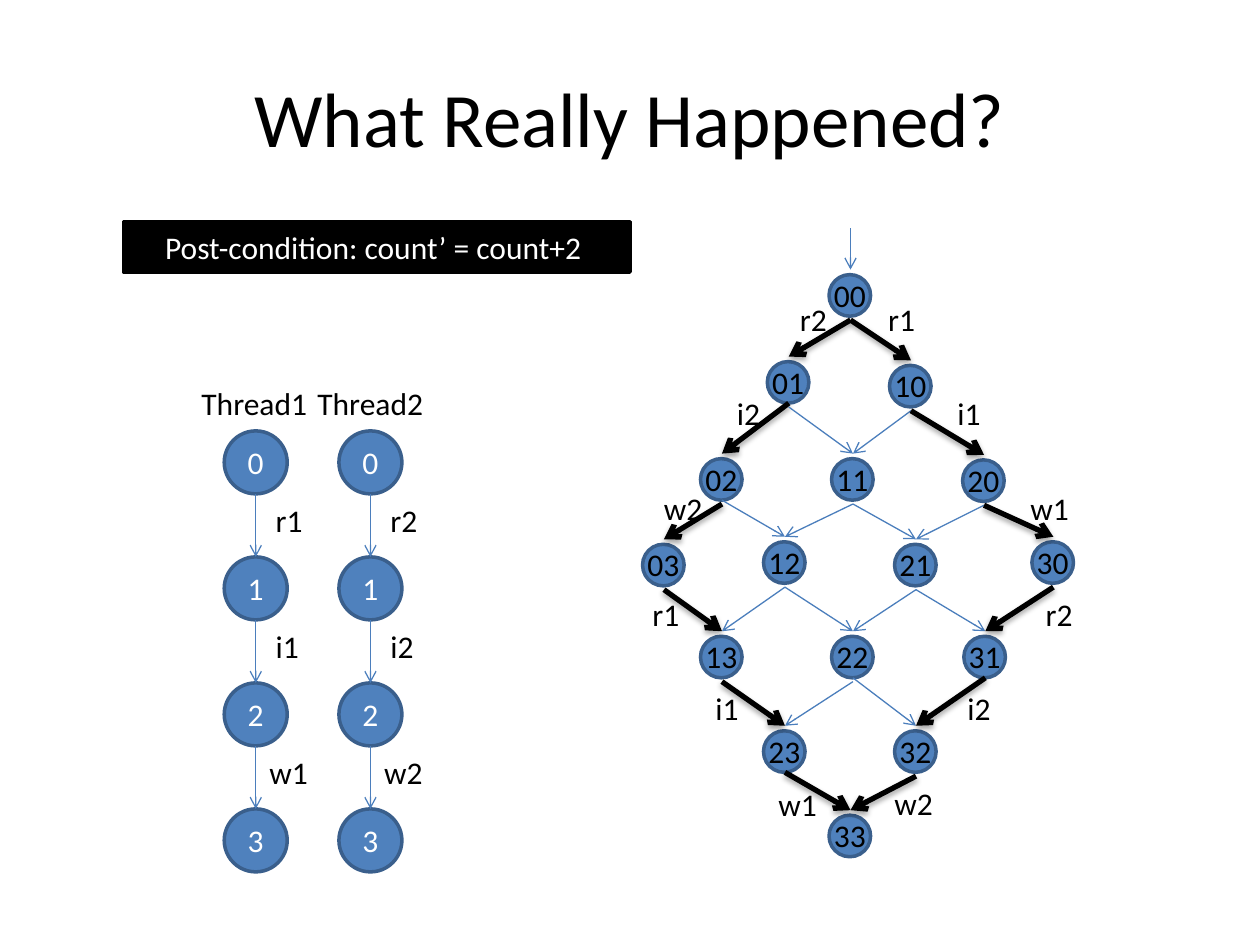
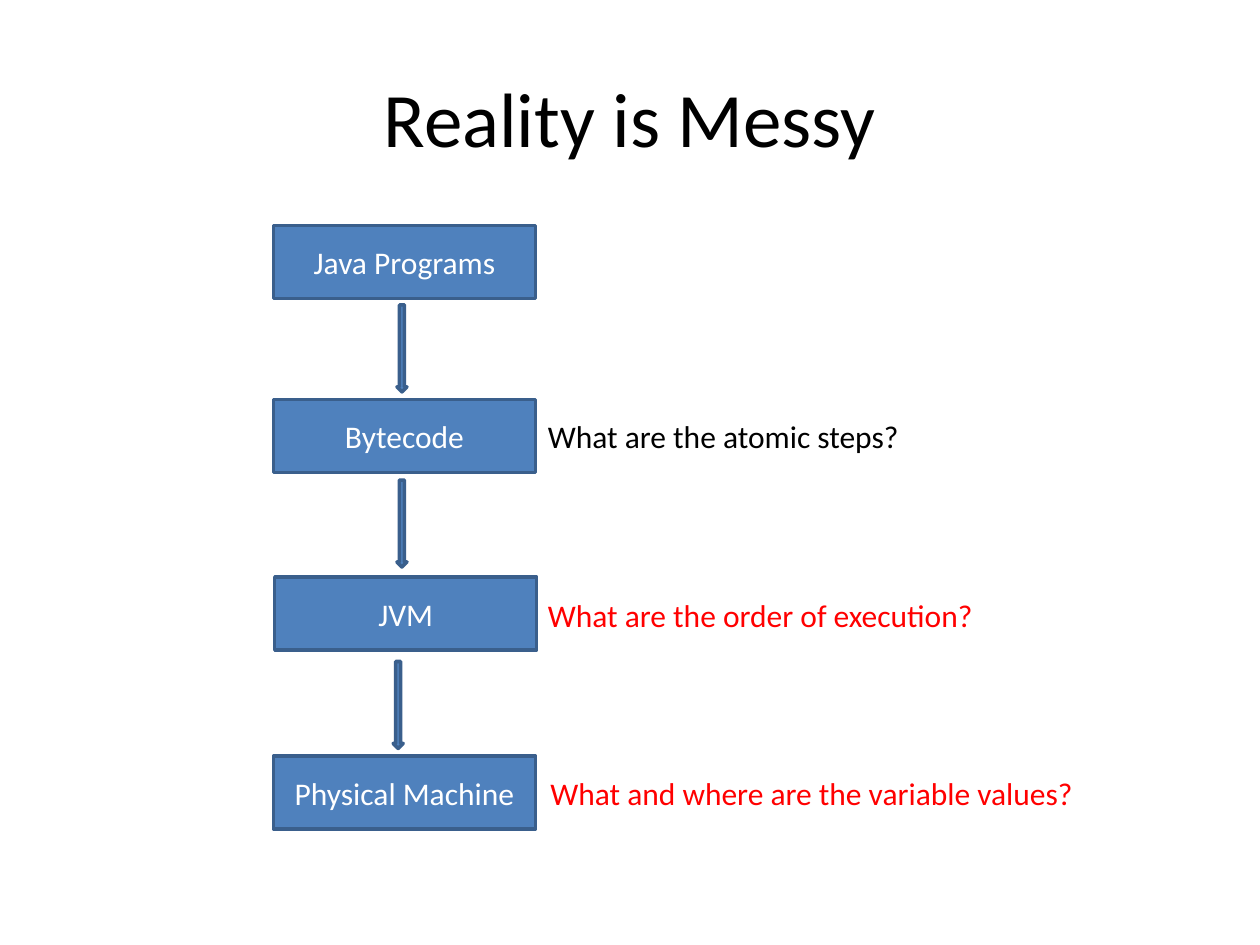
from itertools import product

from lxml import etree
from pptx import Presentation
from pptx.dml.color import RGBColor as RGB
from pptx.enum.shapes import MSO_CONNECTOR as CXN, MSO_SHAPE as SHAPE
from pptx.enum.text import MSO_ANCHOR as ANCHOR, MSO_AUTO_SIZE as AUTO, PP_ALIGN as ALIGN
from pptx.oxml.ns import qn
from pptx.util import Pt

PX = 9144
FONT = "Calibri"
COLORS = {
    "blue": "4F81BD",
    "outline": "3A5F8C",
    "arrow": "4B7EBC",
    "black": "000000",
    "white": "FFFFFF",
    "red": "FF0000",
}
TEXT_H = 40
STATE_W = 46
CIRCLE = 33
THREAD_CIRCLE = 50
STEPS = "riw"
LAST = len(STEPS)

STATES = {
    (0, 0): (652, 214),
    (0, 1): (603, 283), (1, 0): (700, 286),
    (0, 2): (550, 360), (1, 1): (654, 360), (2, 0): (758, 361),
    (0, 3): (504, 428), (1, 2): (600, 426), (2, 1): (704, 428), (3, 0): (813, 426),
    (1, 3): (550, 501), (2, 2): (654, 501), (3, 1): (759, 501),
    (2, 3): (600, 576), (3, 2): (704, 576),
    (3, 3): (652, 643),
}
FROM_CIRCLE = {
    ((0, 1), (0, 2)), ((0, 2), (1, 2)), ((3, 1), (3, 2)),
    ((2, 2), (3, 2)), ((2, 3), (3, 3)),
}
STEP_LABELS = [
    ("r2", 625, 233, 47), ("i2", 575, 308, 47), ("w2", 517, 383, 58),
    ("r1", 508, 467, 47), ("i1", 558, 542, 47), ("w1", 608, 618, 72),
    ("r1", 695, 233, 47), ("i1", 750, 308, 47), ("w1", 808, 383, 58),
    ("r2", 820, 467, 47), ("i2", 758, 542, 47), ("w2", 700, 617, 58),
]
LAYERS = [
    ("Java Programs", 217, 179),
    ("Bytecode", 217, 317),
    ("JVM", 218, 458),
    ("Physical Machine", 217, 600),
]
DOWN_ARROWS = [(315, 242), (315, 381), (312, 525)]
QUESTIONS = [
    ("What are the atomic steps?", 425, 326, 302, "black"),
    ("What are the order of execution?", 425, 468, 362, "red"),
    ("What and where are the variable values?", 427, 609, 446, "red"),
]


def rgb(name):
    return RGB.from_string(COLORS[name])


def emu(*lengths):
    return [n * PX for n in lengths]


def write(tf, text, color, size=18, align=ALIGN.LEFT):
    p = tf.paragraphs[0]
    p.alignment = align
    r = p.add_run()
    r.text = text
    r.font.name = FONT
    r.font.size = Pt(size)
    r.font.color.rgb = rgb(color)


def add_slide(prs, title):
    s = prs.slides.add_slide(prs.slide_layouts[5])
    sp = s.shapes.title
    sp.left, sp.top, sp.width, sp.height = emu(50, 30, 900, 125)
    sp.text_frame.vertical_anchor = ANCHOR.MIDDLE
    write(sp.text_frame, title, "black", 44, ALIGN.CENTER)
    return s


def add_text(s, text, x, y, w, color="black", wrap=True):
    sp = s.shapes.add_textbox(*emu(x, y, w, TEXT_H))
    tf = sp.text_frame
    tf.word_wrap = wrap
    tf.auto_size = AUTO.SHAPE_TO_FIT_TEXT
    write(tf, text, color)
    return sp


def add_shape(s, kind, x, y, w, h, text="", fill="blue", line="outline"):
    sp = s.shapes.add_shape(kind, *emu(x, y, w, h))
    sp.shadow.inherit = False
    sp.fill.solid()
    sp.fill.fore_color.rgb = rgb(fill)
    sp.line.color.rgb = rgb(line)
    sp.line.width = Pt(2)
    if text:
        sp.text_frame.vertical_anchor = ANCHOR.MIDDLE
        write(sp.text_frame, text, "white", align=ALIGN.CENTER)
    return sp


def add_shadow(effects):
    shadow = etree.SubElement(effects, qn("a:outerShdw"), blurRad="40000", dist="23000",
                              dir="5400000", rotWithShape="0")
    color = etree.SubElement(shadow, qn("a:srgbClr"), val=COLORS["black"])
    etree.SubElement(color, qn("a:alpha"), val="35000")


def add_arrow(s, x, y, target, start=None, bold=False):
    c = s.shapes.add_connector(CXN.STRAIGHT, *emu(x, y, x, y))
    if start is not None:
        c.begin_connect(start, 2)
    c.end_connect(target, 0)
    c.line.color.rgb = rgb("black" if bold else "arrow")
    c.line.width = Pt(3 if bold else 0.75)
    spPr = c.element.spPr
    etree.SubElement(spPr.find(qn("a:ln")), qn("a:tailEnd"), type="arrow")
    effects = etree.SubElement(spPr, qn("a:effectLst"))
    if bold:
        add_shadow(effects)


def add_thread(s, number, x, title_x):
    add_text(s, f"Thread{number}", title_x, 300, 105, wrap=False)
    for i in range(LAST + 1):
        y = 342 + 100 * i
        circle = add_shape(s, SHAPE.OVAL, x, y, THREAD_CIRCLE, THREAD_CIRCLE, str(i))
        if i:
            step = STEPS[i - 1]
            add_arrow(s, x + THREAD_CIRCLE // 2, y - 50, circle)
            dx, w = (26, 52) if step == "w" else (31, 47)
            add_text(s, f"{step}{number}", x + dx, y - 49, w)


def add_state_graph(s):
    labels = {}
    for (i, j), (x, y) in STATES.items():
        add_shape(s, SHAPE.OVAL, x + 6, y + 4, CIRCLE, CIRCLE)
        labels[i, j] = add_text(s, f"{i}{j}", x, y, STATE_W, wrap=False)
    add_arrow(s, 675, 181, labels[0, 0])
    for (i, j), (di, dj) in product(STATES, [(0, 1), (1, 0)]):
        begin, end = (i, j), (i + di, j + dj)
        if end not in STATES:
            continue
        x, y = STATES[begin]
        on_border = (j if di else i) in (0, LAST)
        start = None if (begin, end) in FROM_CIRCLE else labels[begin]
        add_arrow(s, x + STATE_W // 2, y + 4 + CIRCLE, labels[end], start, on_border)
    for label in STEP_LABELS:
        add_text(s, *label)


def add_interleavings(prs):
    s = add_slide(prs, "What Really Happened?")
    add_thread(s, 1, 178, 150)
    add_thread(s, 2, 269, 242)
    add_shape(s, SHAPE.RECTANGLE, 98, 176, 402, TEXT_H,
              "Post-condition: count’ = count+2 ", "black", "black")
    add_state_graph(s)


def add_layers(prs):
    s = add_slide(prs, "Reality is Messy")
    for text, x, y in LAYERS:
        add_shape(s, SHAPE.RECTANGLE, x, y, 208, 58, text)
    for x, y in DOWN_ARROWS:
        add_shape(s, SHAPE.DOWN_ARROW, x, y, 8, 69)
    for text, x, y, w, color in QUESTIONS:
        add_text(s, text, x, y, w, color, wrap=False)


def main():
    prs = Presentation()
    prs.slide_width, prs.slide_height = emu(1000, 750)
    add_interleavings(prs)
    add_layers(prs)
    prs.save("out.pptx")


if __name__ == "__main__":
    main()
